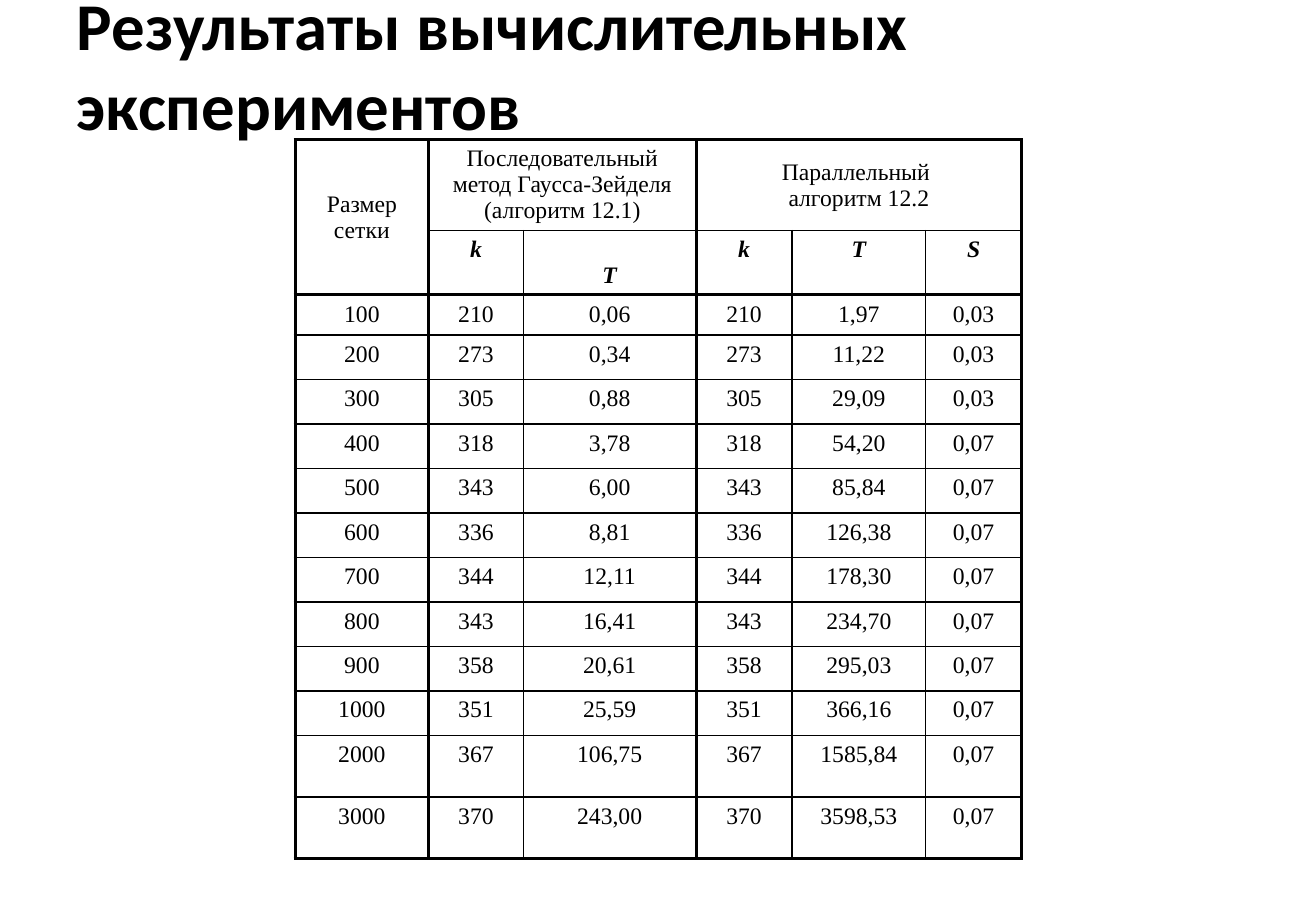
from lxml.etree import SubElement
from pptx import Presentation
from pptx.dml.color import RGBColor
from pptx.enum.text import MSO_ANCHOR, MSO_AUTO_SIZE, PP_ALIGN
from pptx.oxml.ns import qn
from pptx.util import Cm, Pt

BLACK = "000000"

# Header cells: row, column, row span, column span, lines, anchor
GROUP_HEADERS = [
    (0, 0, 2, 1, ["Размер сетки"], MSO_ANCHOR.MIDDLE),
    (0, 1, 1, 2, ["Последовательный метод Гаусса-Зейделя (алгоритм 12.1)"], MSO_ANCHOR.TOP),
    (0, 3, 1, 3, ["Параллельный ", "алгоритм 12.2"], MSO_ANCHOR.MIDDLE),
]
MEASURES = ["k", "T", "k", "T", "S"]

# Grid size, iterations, sequential time, parallel time, speedup
RESULTS = [
    ("100", "210", "0,06", "1,97", "0,03"),
    ("200", "273", "0,34", "11,22", "0,03"),
    ("300", "305", "0,88", "29,09", "0,03"),
    ("400", "318", "3,78", "54,20", "0,07"),
    ("500", "343", "6,00", "85,84", "0,07"),
    ("600", "336", "8,81", "126,38", "0,07"),
    ("700", "344", "12,11", "178,30", "0,07"),
    ("800", "343", "16,41", "234,70", "0,07"),
    ("900", "358", "20,61", "295,03", "0,07"),
    ("1000", "351", "25,59", "366,16", "0,07"),
    ("2000", "367", "106,75", "1585,84", "0,07"),
    ("3000", "370", "243,00", "3598,53", "0,07"),
]

COLUMN_WIDTHS = [2.79, 1.98, 3.61, 2.01, 2.79, 2.01]
ROW_HEIGHTS = [1.9, 1.34, 0.84] + [0.93] * 9 + [1.29] * 2
THICK_COLUMN_EDGES = {0, 1, 3, 6}
THICK_ROW_EDGES = {0, 2, 14}


def colour(hex_value):
    return RGBColor.from_string(hex_value)


class Deck:
    title_font = "Calibri"
    table_font = "Times New Roman"
    table_size = 14

    def __init__(self, width, height):
        self.presentation = Presentation()
        self.presentation.slide_width = Cm(width)
        self.presentation.slide_height = Cm(height)
        self.slide = self.presentation.slides.add_slide(self.presentation.slide_layouts[5])

    def add_run(self, paragraph, text, font, size, bold=False, italic=False):
        run = paragraph.add_run()
        run.text = text
        run.font.name = font
        run.font.size = Pt(size)
        run.font.bold = bold
        run.font.italic = italic
        run.font.color.rgb = colour(BLACK)

    def title(self, text, left, top, width, height):
        heading = self.slide.shapes.title
        heading.left, heading.top = Cm(left), Cm(top)
        heading.width, heading.height = Cm(width), Cm(height)
        frame = heading.text_frame
        frame.word_wrap = True
        frame.auto_size = MSO_AUTO_SIZE.NONE
        frame.vertical_anchor = MSO_ANCHOR.MIDDLE
        paragraph = frame.paragraphs[0]
        paragraph.alignment = PP_ALIGN.LEFT
        self.add_run(paragraph, text, self.title_font, 39.6, bold=True)

    def table(self, left, top, widths, heights):
        grid = self.slide.shapes.add_table(
            len(heights), len(widths), Cm(left), Cm(top), Cm(sum(widths)), Cm(sum(heights))
        ).table
        grid.first_row = grid.horz_banding = False
        for column, width in zip(grid.columns, widths):
            column.width = Cm(width)
        for row, height in zip(grid.rows, heights):
            row.height = Cm(height)
        return grid

    def cell_text(self, cell, lines, anchor=MSO_ANCHOR.TOP, emphasis=False):
        cell.vertical_anchor = anchor
        paragraph = cell.text_frame.paragraphs[0]
        paragraph.alignment = PP_ALIGN.CENTER
        for number, line in enumerate(lines):
            if number:
                paragraph.add_line_break()
            self.add_run(paragraph, line, self.table_font, self.table_size, emphasis, emphasis)

    def rule_cells(self, grid, thick_columns, thick_rows):
        for row in range(len(grid.rows)):
            for column in range(len(grid.columns)):
                cell = grid.cell(row, column)
                if not cell.is_spanned:
                    row_end = row + (cell.span_height if cell.is_merge_origin else 1)
                    column_end = column + (cell.span_width if cell.is_merge_origin else 1)
                    self.borders(cell, {
                        "a:lnL": column in thick_columns,
                        "a:lnR": column_end in thick_columns,
                        "a:lnT": row in thick_rows,
                        "a:lnB": row_end in thick_rows,
                    })
                cell.fill.background()

    def borders(self, cell, sides):
        properties = cell._tc.get_or_add_tcPr()
        for side, thick in sides.items():
            line = SubElement(properties, qn(side), w=str(Pt(2 if thick else 1)))
            fill = SubElement(line, qn("a:solidFill"))
            SubElement(fill, qn("a:srgbClr"), val=BLACK)


def main():
    deck = Deck(27.51, 19.05)

    # Title
    deck.title("Результаты вычислительных экспериментов", 1.35, 0.56, 24.82, 1.55)

    # Table header
    results = deck.table(6.17, 2.92, COLUMN_WIDTHS, ROW_HEIGHTS)
    for row, column, row_span, column_span, lines, anchor in GROUP_HEADERS:
        header = results.cell(row, column)
        header.merge(results.cell(row + row_span - 1, column + column_span - 1))
        deck.cell_text(header, lines, anchor)
    for column, measure in enumerate(MEASURES, start=1):
        anchor = MSO_ANCHOR.BOTTOM if column == 2 else MSO_ANCHOR.TOP
        deck.cell_text(results.cell(1, column), [measure], anchor, emphasis=True)

    # Measurements: both methods take the same number of iterations
    for row, (size, iterations, sequential, parallel, speedup) in enumerate(RESULTS, start=2):
        values = (size, iterations, sequential, iterations, parallel, speedup)
        for column, value in enumerate(values):
            deck.cell_text(results.cell(row, column), [value])

    # Cell borders
    deck.rule_cells(results, THICK_COLUMN_EDGES, THICK_ROW_EDGES)

    deck.presentation.save("out.pptx")


if __name__ == "__main__":
    main()
